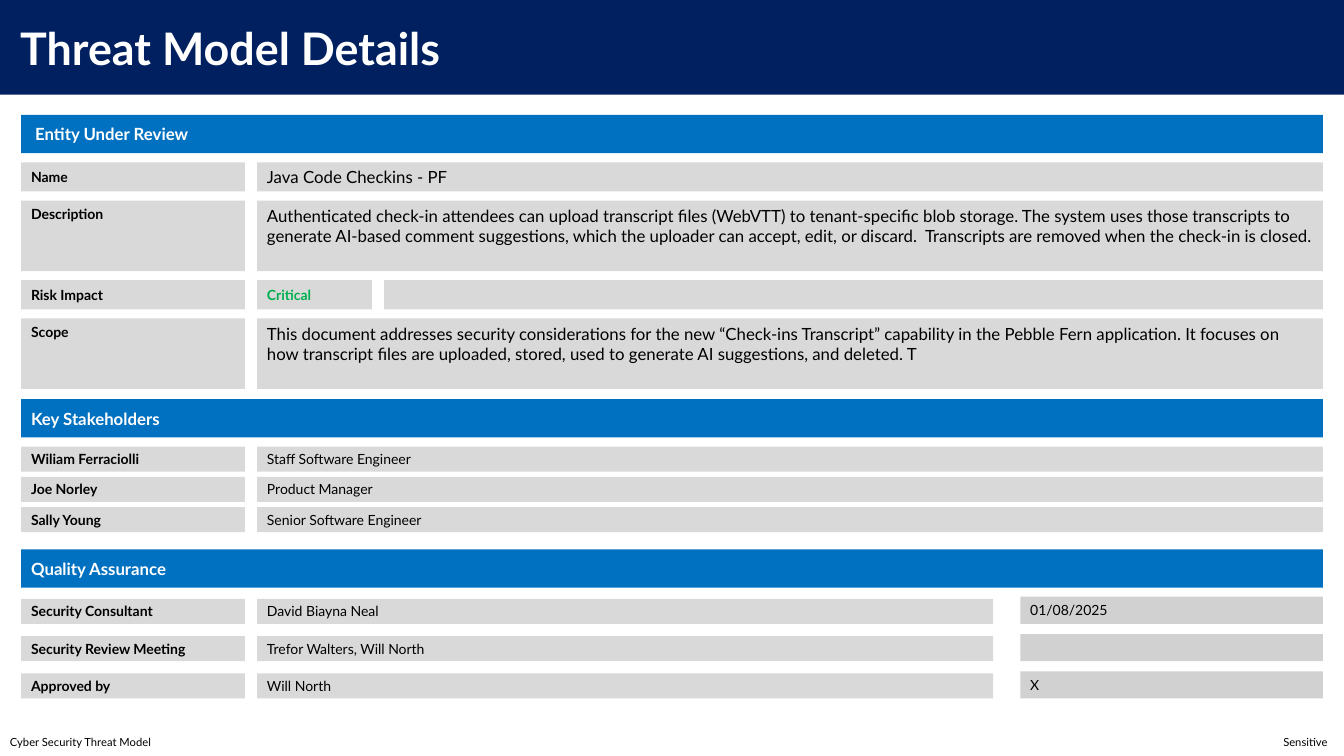
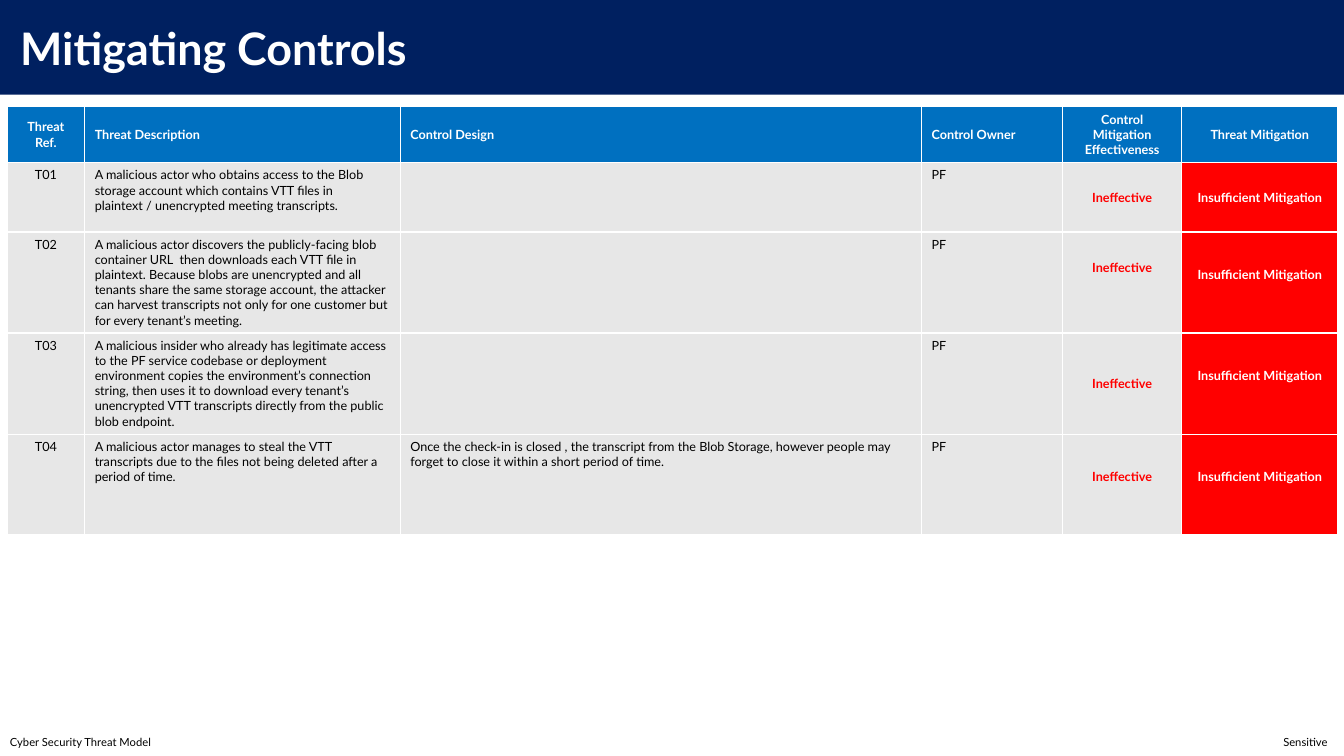
from dataclasses import dataclass

from lxml import etree
from pptx import Presentation
from pptx.dml.color import RGBColor
from pptx.enum.shapes import MSO_SHAPE
from pptx.enum.text import MSO_ANCHOR, MSO_AUTO_SIZE, PP_ALIGN
from pptx.oxml.ns import qn
from pptx.util import Inches, Pt

RECTANGLE = MSO_SHAPE.RECTANGLE
TOP, MIDDLE = MSO_ANCHOR.TOP, MSO_ANCHOR.MIDDLE
LEFT, CENTER = PP_ALIGN.LEFT, PP_ALIGN.CENTER
NO_AUTOFIT = MSO_AUTO_SIZE.NONE

FONT = "Lato"
NAVY = RGBColor(0x00, 0x20, 0x60)
BLUE = RGBColor(0x00, 0x70, 0xC0)
GREY = RGBColor(0xD9, 0xD9, 0xD9)
DARK_GREY = RGBColor(0xD1, 0xD1, 0xD1)
CELL_GREY = RGBColor(0xE7, 0xE7, 0xE7)
GREEN = RGBColor(0x00, 0xB0, 0x50)
RED = RGBColor(0xFF, 0x00, 0x00)
BLACK = RGBColor(0x00, 0x00, 0x00)
WHITE = RGBColor(0xFF, 0xFF, 0xFF)

PAGE_WIDTH, PAGE_HEIGHT = 13.33, 7.5
TITLE_HEIGHT = 0.94
FOOTER_HEIGHT = 0.27
FOOTER_TAB = 13.07
FOOTER = "Cyber Security Threat Model\tSensitive"
BAR_LEFT, BAR_WIDTH, BAR_HEIGHT = 0.21, 12.91, 0.38


@dataclass
class Column:
    left: float
    width: float
    size: int = 10
    bold: bool = False
    color: RGBColor = BLACK
    fill: RGBColor = GREY
    rise: float = 0  # how far the box reaches above its row


LABEL = Column(0.21, 2.22, bold=True)
SUMMARY = Column(2.55, 10.57, size=12)
RATING = Column(2.55, 1.14, bold=True, color=GREEN)
RATIONALE = Column(3.81, 9.31)
ROLE = Column(2.55, 10.57)
REVIEWER = Column(2.55, 7.3)
SIGN_OFF = Column(10.12, 3, fill=DARK_GREY, rise=0.02)

DESCRIPTION = (
    "Authenticated check-in attendees can upload transcript files (WebVTT) to "
    "tenant-specific blob storage. The system uses those transcripts to generate "
    "AI-based comment suggestions, which the uploader can accept, edit, or "
    "discard.  Transcripts are removed when the check-in is closed."
)
SCOPE = (
    "This document addresses security considerations for the new “Check-ins "
    "Transcript” capability in the Pebble Fern application. It focuses on how "
    "transcript files are uploaded, stored, used to generate AI suggestions, "
    "and deleted. T"
)

# Each row: height, then the (column, text) pairs it holds.
SECTIONS = [
    {"title": " Entity Under Review", "top": 1.14, "first_gap": 0.09, "gap": 0.09,
     "rows": [
         (0.29, [(LABEL, "Name"), (SUMMARY, "Java Code Checkins - PF")]),
         (0.7, [(LABEL, "Description"), (SUMMARY, DESCRIPTION)]),
         (0.29, [(LABEL, "Risk Impact"), (RATING, "Critical"), (RATIONALE, "")]),
         (0.7, [(LABEL, "Scope"), (SUMMARY, SCOPE)]),
     ]},
    {"title": "Key Stakeholders", "top": 3.96, "first_gap": 0.09, "gap": 0.05,
     "rows": [
         (0.25, [(LABEL, "Wiliam Ferraciolli"), (ROLE, "Staff Software Engineer")]),
         (0.25, [(LABEL, "Joe Norley"), (ROLE, "Product Manager")]),
         (0.25, [(LABEL, "Sally Young"), (ROLE, "Senior Software Engineer")]),
     ]},
    {"title": "Quality Assurance", "top": 5.45, "first_gap": 0.11, "gap": 0.12,
     "rows": [
         (0.25, [(LABEL, "Security Consultant"), (REVIEWER, "David Biayna Neal"),
                 (SIGN_OFF, "01/08/2025")]),
         (0.25, [(LABEL, "Security Review Meeting"),
                 (REVIEWER, "Trefor Walters, Will North"), (SIGN_OFF, "")]),
         (0.25, [(LABEL, "Approved by"), (REVIEWER, "Will North"), (SIGN_OFF, "X")]),
     ]},
]

# Heading, column width, alignment of the heading.
CONTROL_COLUMNS = [
    ("Threat Ref.", 0.77, CENTER),
    ("Threat Description", 3.13, LEFT),
    ("Control Design", 5.17, LEFT),
    ("Control Owner", 1.4, LEFT),
    ("Control Mitigation Effectiveness", 1.18, CENTER),
    ("Threat Mitigation", 1.55, CENTER),
]
HEADING_HEIGHT = 0.54
OWNER, EFFECTIVENESS, MITIGATION = "PF", "Ineffective", "Insufficient Mitigation"

# Threat, control design, row height, bottom margins of the two verdict cells.
THREATS = [
    ("A malicious actor who obtains access to the Blob storage account which "
     "contains VTT files in plaintext / unencrypted meeting transcripts.",
     "", 0.69, 0.05, 0.05),
    ("A malicious actor discovers the publicly-facing blob container URL  then "
     "downloads each VTT file in plaintext. Because blobs are unencrypted and all "
     "tenants share the same storage account, the attacker can harvest transcripts "
     "not only for one customer but for every tenant’s meeting.",
     "", 1, 0.34, 0.2),
    ("A malicious insider who already has legitimate access to the PF service "
     "codebase or deployment environment copies the environment’s connection "
     "string, then uses it to download every tenant’s unencrypted VTT transcripts "
     "directly from the public blob endpoint.",
     "", 1, 0.05, 0.2),
    ("A malicious actor manages to steal the VTT transcripts due to the files not "
     "being deleted after a period of time.",
     "Once the check-in is closed , the transcript from the Blob Storage, however "
     "people may forget to close it within a short period of time.",
     1, 0.2, 0.2),
]


def write(frame, text, size, color=BLACK, bold=False, align=LEFT):
    frame.word_wrap = True
    frame.text = text
    para = frame.paragraphs[0]
    para.alignment = align
    para.font.size = Pt(size)
    for span in para.runs:
        span.font.name = FONT
        span.font.size = Pt(size)
        span.font.bold = bold
        span.font.color.rgb = color
    return para


def add_box(page, left, top, width, height, fill):
    box = page.shapes.add_shape(
        RECTANGLE, Inches(left), Inches(top), Inches(width), Inches(height))
    box.shadow.inherit = False
    box.fill.solid()
    box.fill.fore_color.rgb = fill
    box.line.fill.background()
    return box


def add_page(deck, title):
    """Add a slide with the title band and the footer line."""
    page = deck.slides.add_slide(deck.slide_layouts[5])
    band = page.shapes.title
    band.left, band.top = Inches(0), Inches(0)
    band.width, band.height = Inches(PAGE_WIDTH), Inches(TITLE_HEIGHT)
    band.fill.solid()
    band.fill.fore_color.rgb = NAVY
    frame = band.text_frame
    frame.auto_size = NO_AUTOFIT
    frame.vertical_anchor = MIDDLE
    frame.margin_left = Inches(0.2)
    write(frame, title, 32, WHITE, bold=True)

    footer = page.shapes.add_textbox(
        Inches(0), Inches(PAGE_HEIGHT - FOOTER_HEIGHT),
        Inches(PAGE_WIDTH), Inches(FOOTER_HEIGHT))
    footer.text_frame.vertical_anchor = MIDDLE
    para = write(footer.text_frame, FOOTER, 8)
    properties = para._p.get_or_add_pPr()
    tabs = etree.Element(qn("a:tabLst"))
    etree.SubElement(tabs, qn("a:tab"), pos=str(Inches(FOOTER_TAB)), algn="r")
    properties.insert(0, tabs)
    return page


def add_section(page, section):
    bar = add_box(page, BAR_LEFT, section["top"], BAR_WIDTH, BAR_HEIGHT, BLUE)
    bar.text_frame.vertical_anchor = MIDDLE
    write(bar.text_frame, section["title"], 12, WHITE, bold=True)
    top = section["top"] + BAR_HEIGHT + section["first_gap"]
    for height, fields in section["rows"]:
        for column, text in fields:
            box = add_box(page, column.left, top - column.rise,
                          column.width, height + column.rise, column.fill)
            if text:
                box.text_frame.vertical_anchor = TOP if height > 0.5 else MIDDLE
                write(box.text_frame, text, column.size, column.color, column.bold)
        top += height + section["gap"]


def fill_cell(cell, text, fill, color=BLACK, bold=False, align=LEFT,
              anchor=TOP, bottom=0.05):
    cell.fill.solid()
    cell.fill.fore_color.rgb = fill
    cell.vertical_anchor = anchor
    cell.margin_bottom = Inches(bottom)
    write(cell.text_frame, text, 9, color, bold, align)


def add_controls_table(page):
    heights = [HEADING_HEIGHT] + [threat[2] for threat in THREATS]
    widths = [width for _, width, _ in CONTROL_COLUMNS]
    table = page.shapes.add_table(
        len(heights), len(widths), Inches(0.07), Inches(1.06),
        Inches(sum(widths)), Inches(sum(heights))).table
    table.horz_banding = False
    for row, height in zip(table.rows, heights):
        row.height = Inches(height)
    for index, (heading, width, align) in enumerate(CONTROL_COLUMNS):
        table.columns[index].width = Inches(width)
        fill_cell(table.cell(0, index), heading, BLUE, WHITE, True, align, MIDDLE)
    for number, (threat, design, _, *bottoms) in enumerate(THREATS, start=1):
        cells = table.rows[number].cells
        fill_cell(cells[0], f"T{number:02}", CELL_GREY, align=CENTER)
        for index, text in enumerate((threat, design, OWNER), start=1):
            fill_cell(cells[index], text, CELL_GREY)
        fill_cell(cells[4], EFFECTIVENESS, CELL_GREY, RED, True, CENTER, MIDDLE,
                  bottoms[0])
        fill_cell(cells[5], MITIGATION, RED, WHITE, True, CENTER, MIDDLE, bottoms[1])


def main():
    deck = Presentation()
    deck.slide_width, deck.slide_height = Inches(PAGE_WIDTH), Inches(PAGE_HEIGHT)
    details = add_page(deck, "Threat Model Details")
    for section in SECTIONS:
        add_section(details, section)
    add_controls_table(add_page(deck, "Mitigating Controls"))
    deck.save("out.pptx")


if __name__ == "__main__":
    main()
